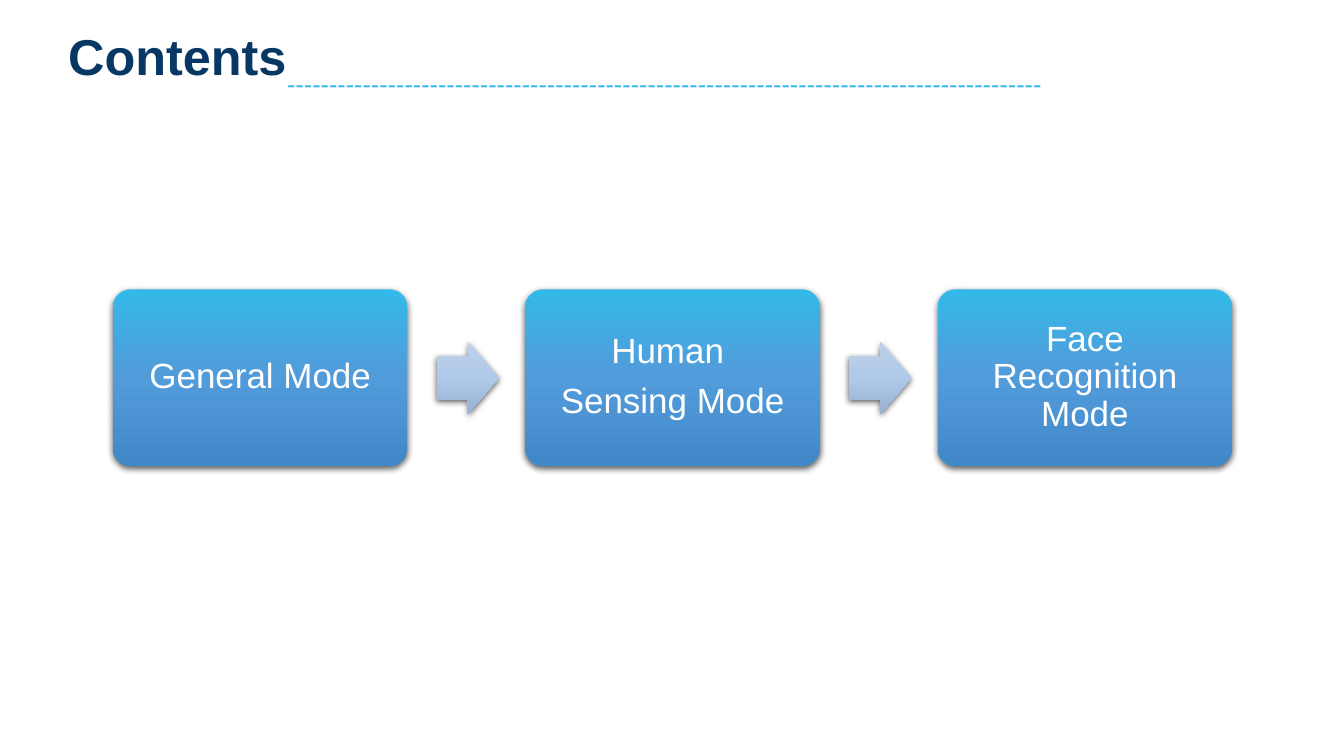
from copy import deepcopy
from dataclasses import dataclass
from pptx import Presentation
from pptx.dml.color import RGBColor
from pptx.enum.shapes import MSO_SHAPE
from pptx.enum.text import MSO_ANCHOR, PP_ALIGN
from pptx.oxml import parse_xml
from pptx.oxml.ns import nsdecls, qn
from pptx.util import Inches, Pt


@dataclass
class Theme:
    face: str = "Arial"
    navy: str = "073763"
    sky: str = "33B9E9"
    white: str = "FFFFFF"
    shade: str = "000000"
    card: tuple = ("33B9E9", "529BDA", "4188C8")
    arrow: tuple = ("BDD0E9", "B0C9E9", "96B0D1")
    title: int = 36
    rule: int = 18
    label: int = 25


theme = Theme()


def add_text(shape, lines, size, color, bold=False):
    frame = shape.text_frame
    frame.word_wrap = True
    frame.text = "\n".join(lines)
    for para in frame.paragraphs:
        para.alignment = PP_ALIGN.CENTER
        para.font.name = theme.face
        para.font.size = Pt(size)
        para.font.bold = bold
        para.font.color.rgb = RGBColor.from_string(color)
    return frame


def add_block(kind, box, colors, ratios):
    shape = slide.shapes.add_shape(kind, *map(Inches, box))
    for index, ratio in enumerate(ratios):
        shape.adjustments[index] = ratio
    shape.line.fill.background()
    shape.fill.gradient()
    shape.fill.gradient_angle = 270
    props = shape.element.spPr
    stops = props.find(qn("a:gradFill")).find(qn("a:gsLst"))
    stops.append(deepcopy(stops[-1]))
    for stop, color, place in zip(shape.fill.gradient_stops, colors, (0, 0.5, 1)):
        stop.color.rgb = RGBColor.from_string(color)
        stop.position = place
    props.append(parse_xml(
        f'<a:effectLst {nsdecls("a")}>'
        f'<a:outerShdw blurRad="{Pt(4.5)}" dist="{Pt(1.5)}" dir="5400000" algn="ctr" rotWithShape="0">'
        f'<a:srgbClr val="{theme.shade}"><a:alpha val="63000"/></a:srgbClr>'
        '</a:outerShdw></a:effectLst>'))
    return shape


deck = Presentation()
deck.slide_width = Inches(13.33)
deck.slide_height = Inches(7.5)
slide = deck.slides.add_slide(deck.slide_layouts[6])

title = slide.shapes.add_textbox(Inches(0.33), Inches(0.2), Inches(2.86), Inches(0.71))
add_text(title, ["Contents"], theme.title, theme.navy, True)

rule = slide.shapes.add_textbox(Inches(-0.07), Inches(0.63), Inches(13.33), Inches(0.4))
add_text(rule, ["-" * 90], theme.rule, theme.sky)

modes = [["General Mode"], ["Human ", "Sensing Mode"], ["Face Recognition Mode"]]
left, step = 1.12, 4.09

for index, lines in enumerate(modes):
    x = left + index * step
    card = add_block(MSO_SHAPE.ROUNDED_RECTANGLE, (x, 2.87, 2.92, 1.75), theme.card, [0.1])
    frame = add_text(card, lines, theme.label, theme.white)
    frame.vertical_anchor = MSO_ANCHOR.MIDDLE
    frame.margin_left = frame.margin_right = Inches(0.1)
    frame.margin_top = frame.margin_bottom = Inches(0.1)
    for para in frame.paragraphs:
        para.line_spacing = 0.9
    for para in frame.paragraphs[1:]:
        para.space_before = Pt(8.8)
    if index < len(modes) - 1:
        add_block(MSO_SHAPE.RIGHT_ARROW, (x + 3.21, 3.39, 0.62, 0.72), theme.arrow, [0.6, 0.5])

deck.save("out.pptx")
